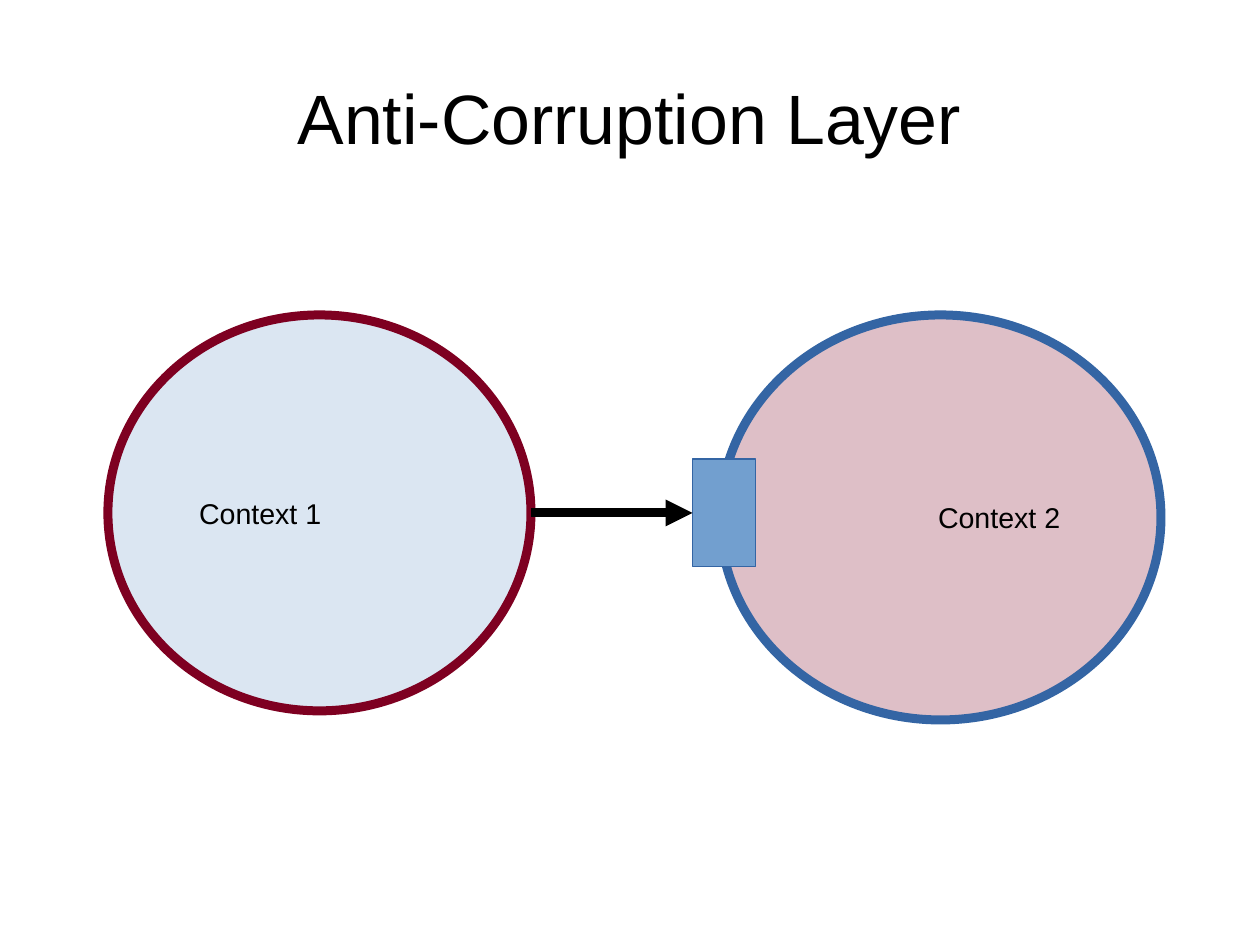
from dataclasses import dataclass
from pptx import Presentation
from pptx.dml.color import RGBColor as RGB
from pptx.enum.shapes import MSO_CONNECTOR as Line, MSO_SHAPE as Kind
from pptx.enum.text import MSO_ANCHOR as Anchor, PP_ALIGN as Align
from pptx.oxml.ns import qn
from pptx.util import Pt
from lxml.etree import SubElement


@dataclass(frozen=True)
class Theme:
    font: str = "Arial"
    ink: str = "000000"
    sky: str = "729FCF"
    blue: str = "3465A4"
    wine: str = "7E0021"
    title: float = 44
    label: float = 18
    thin: float = 0.75
    thick: float = 5.67


THEME = Theme()


def apply(target, form):
    for name, value in form.items():
        setattr(target, name, value)


def write(frame, text, size, align, left=0, right=0):
    apply(frame, {
        "word_wrap": True,
        "vertical_anchor": Anchor.MIDDLE,
        "margin_left": Pt(left),
        "margin_right": Pt(right),
        "margin_top": 0,
        "margin_bottom": 0,
    })
    para = frame.paragraphs[0]
    para.alignment = align
    run = para.add_run()
    run.text = text
    apply(run.font, {"name": THEME.font, "size": Pt(size)})
    run.font.color.rgb = RGB.from_string(THEME.ink)


def stroke(line, color, width):
    line.color.rgb = RGB.from_string(color)
    line.width = Pt(width)


def add_title(slide, text, box):
    shape = slide.shapes.add_textbox(*map(Pt, box))
    write(shape.text_frame, text, THEME.title, Align.CENTER)


def add_block(slide, kind, box, fill, edge, width):
    shape = slide.shapes.add_shape(kind, *map(Pt, box))
    shape.shadow.inherit = False
    shape.fill.solid()
    shape.fill.fore_color.rgb = RGB.from_string(fill)
    stroke(shape.line, edge, width)
    return shape


def add_context(slide, text, box, fill, edge, align, **inset):
    """Draw a tinted ellipse with its label set in from one side."""
    shape = add_block(slide, Kind.OVAL, box, fill, edge, THEME.thick)
    tint = shape._element.spPr.find(f"{qn('a:solidFill')}/{qn('a:srgbClr')}")
    SubElement(tint, qn("a:alpha"), val="25000")
    write(shape.text_frame, text, THEME.label, align, **inset)


def add_arrow(slide, start, gate):
    """Draw an arrow from a point to the left side of the gate."""
    x, y = map(Pt, start)
    arrow = slide.shapes.add_connector(Line.STRAIGHT, x, y, gate.left, y)
    arrow.end_connect(gate, 1)
    stroke(arrow.line, THEME.ink, THEME.thick)
    look = arrow._element.spPr
    SubElement(look.find(qn("a:ln")), qn("a:tailEnd"), type="triangle")
    SubElement(look, qn("a:effectLst"))


def main():
    deck = Presentation()
    apply(deck, {"slide_width": Pt(793.75), "slide_height": Pt(595.25)})
    slide = deck.slides.add_slide(deck.slide_layouts[6])
    add_title(slide, "Anti-Corruption Layer", (39.6, 23.7, 714.3, 99.4))
    add_context(slide, "Context 1", (68, 198.4, 266.5, 249.4),
                THEME.sky, THEME.wine, Align.LEFT, left=18.4)
    add_context(slide, "Context 2", (453.6, 198.4, 277.8, 255.1),
                THEME.wine, THEME.blue, Align.RIGHT, right=22.7)
    gate = add_block(slide, Kind.RECTANGLE, (436.3, 289.1, 39.7, 68),
                     THEME.sky, THEME.blue, THEME.thin)
    add_arrow(slide, (334.5, 323.1), gate)
    deck.save("out.pptx")


if __name__ == "__main__":
    main()
